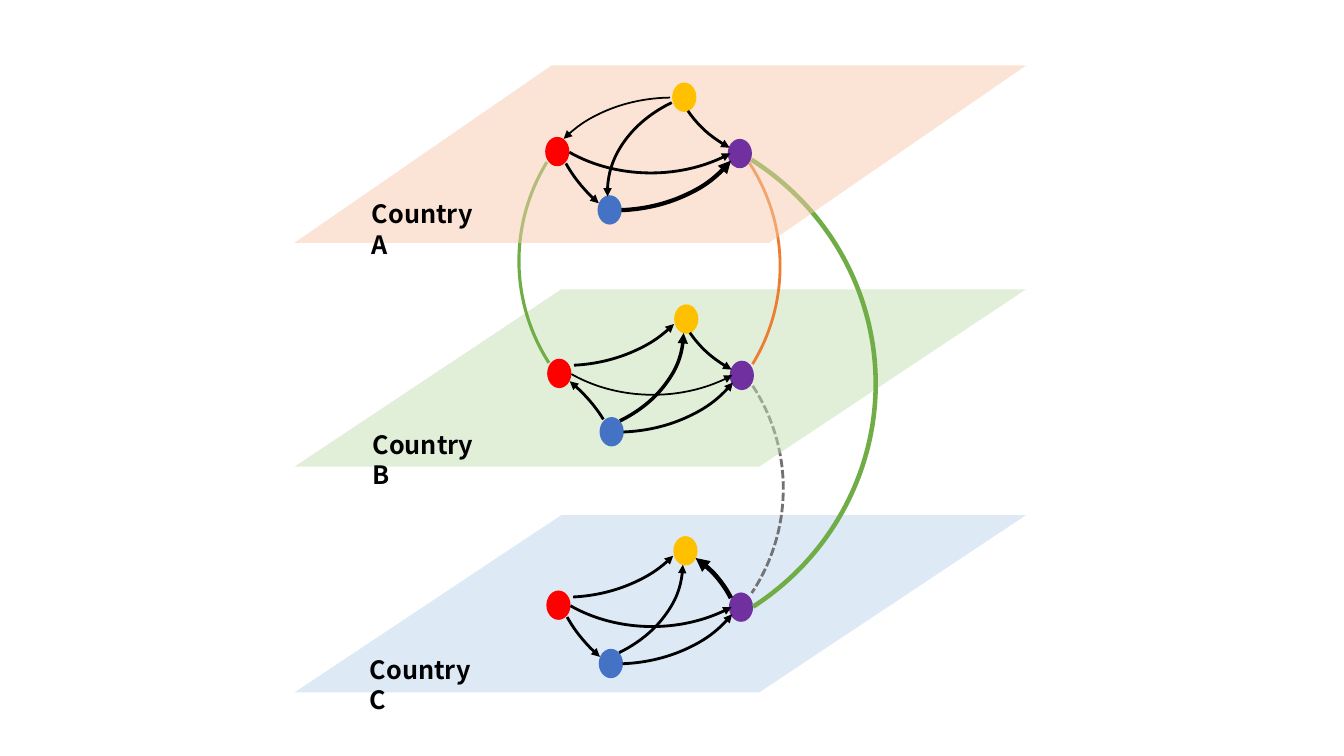
from dataclasses import dataclass

from pptx import Presentation
from pptx.dml.color import RGBColor
from pptx.enum.dml import MSO_LINE
from pptx.enum.shapes import MSO_SHAPE
from pptx.enum.text import MSO_AUTO_SIZE, PP_ALIGN
from pptx.oxml.ns import qn
from pptx.oxml.xmlchemy import OxmlElement
from pptx.shapes.autoshape import Shape
from pptx.slide import Slide
from pptx.util import Cm, Pt


@dataclass(frozen=True)
class Theme:
    font: str = "Noto Sans CJK SC"
    label_size: float = 18
    text: str = "000000"
    arrow: str = "000000"
    red: str = "FF0000"
    yellow: str = "FFC000"
    blue: str = "4472C4"
    purple: str = "7030A0"
    plane_a: str = "F8CBAD"
    plane_b: str = "C5E0B4"
    plane_c: str = "BDD7EE"
    plane_alpha: int = 50
    link_green: str = "70AD47"
    link_orange: str = "ED7D31"
    link_gray: str = "767171"


@dataclass(frozen=True)
class Curve:
    """Part of an ellipse: box in cm, angles in degrees clockwise from the right."""
    left: float
    top: float
    start: float
    end: float
    width: float = 6.91
    height: float = 5.33


@dataclass(frozen=True)
class Link:
    curve: Curve
    color: str
    weight: float
    dashed: bool = False


@dataclass(frozen=True)
class Country:
    name: str
    plane_top: float
    plane_color: str
    slant: float
    origin: tuple[float, float]  # corner of the red node
    label: tuple[float, float]
    arrows: tuple[tuple[Curve, float], ...]  # curve and line weight
    links: tuple[Link, ...] = ()


THEME = Theme()
PLANE_LEFT, PLANE_WIDTH, PLANE_HEIGHT = 7.42, 18.44, 4.47
NODE_WIDTH, NODE_HEIGHT = 0.61, 0.74
LABEL_WIDTH, LABEL_HEIGHT = 3.48, 1.02

# Node positions measured from the red node
NODES = (
    (3.2, -1.37, THEME.yellow),
    (1.32, 1.47, THEME.blue),
    (4.6, 0.05, THEME.purple),
    (0, 0, THEME.red),
)

# Arrow curves measured from the red node; the arrowhead is at the start angle
RED_TO_BLUE = Curve(0.18, -4.47, 154.34, 167.03, 11.89, 7.7)
RED_TO_PURPLE = Curve(-0.79, -4.42, 47.33, 133.79)
RED_TO_YELLOW = Curve(-3, -5.16, 30.6, 85.24)
BLUE_TO_PURPLE = Curve(-1.7, -3.48, 25.79, 86.44)
BLUE_TO_YELLOW = Curve(-3.47, -3.35, 0.62, 50.59)
BLUE_TO_RED = Curve(-10.06, -0.91, 333.16, 345.71, 11.89, 7.7)
YELLOW_TO_PURPLE = Curve(3.2, -4.56, 132.77, 157.95)
YELLOW_TO_RED = Curve(-0.25, -0.99, 210.67, 268.84)
YELLOW_TO_BLUE = Curve(1.57, -1.27, 178.16, 230.92)
PURPLE_TO_YELLOW = Curve(-2.03, -1.52, 319.98, 343.53)

# Links between countries, in slide coordinates
B_TO_C_PURPLE = Curve(9.91, 7.49, 327.98, 32.55, 9.83, 9.65)
A_TO_C_PURPLE = Curve(8.38, 2.95, 303.34, 56.24, 13.69, 13.44)
A_TO_B_PURPLE = Curve(9.83, 1.88, 327.98, 30.37, 9.83, 9.65)
A_TO_B_RED = Curve(13.08, 1.75, 148.3, 210.6, 9.83, 9.65)

# From the back layer to the front one
COUNTRIES = (
    Country(
        "Country C", 12.98, THEME.plane_c, 1.505, (13.77, 14.88), (9.07, 16.36),
        ((RED_TO_BLUE, 2), (PURPLE_TO_YELLOW, 3.25), (BLUE_TO_PURPLE, 2),
         (RED_TO_PURPLE, 2), (BLUE_TO_YELLOW, 2), (RED_TO_YELLOW, 2)),
        (Link(B_TO_C_PURPLE, THEME.link_gray, 2, dashed=True),),
    ),
    Country(
        "Country B", 7.29, THEME.plane_b, 1.505, (13.79, 9.04), (9.14, 10.69),
        ((RED_TO_YELLOW, 2), (BLUE_TO_RED, 2), (YELLOW_TO_PURPLE, 2),
         (BLUE_TO_PURPLE, 2), (RED_TO_PURPLE, 1.25), (BLUE_TO_YELLOW, 2.5)),
        (Link(A_TO_C_PURPLE, THEME.link_green, 3.25),
         Link(A_TO_B_PURPLE, THEME.link_orange, 2),
         Link(A_TO_B_RED, THEME.link_green, 2.25)),
    ),
    Country(
        "Country A", 1.65, THEME.plane_a, 1.45, (13.74, 3.45), (9.12, 4.88),
        ((YELLOW_TO_RED, 1.25), (RED_TO_BLUE, 2), (YELLOW_TO_PURPLE, 2),
         (BLUE_TO_PURPLE, 3), (RED_TO_PURPLE, 2), (YELLOW_TO_BLUE, 2)),
    ),
)


def add_filled(slide: Slide, kind: MSO_SHAPE, left: float, top: float,
               width: float, height: float, color: str) -> Shape:
    shape = slide.shapes.add_shape(kind, Cm(left), Cm(top), Cm(width), Cm(height))
    shape.shadow.inherit = False
    shape.fill.solid()
    shape.fill.fore_color.rgb = RGBColor.from_string(color)
    shape.line.fill.background()
    return shape


def add_plane(slide: Slide, country: Country) -> None:
    plane = add_filled(slide, MSO_SHAPE.PARALLELOGRAM, PLANE_LEFT, country.plane_top,
                       PLANE_WIDTH, PLANE_HEIGHT, country.plane_color)
    plane.adjustments[0] = country.slant
    alpha = OxmlElement("a:alpha")
    alpha.set("val", str(THEME.plane_alpha * 1000))
    plane.element.spPr.find(qn("a:solidFill"))[0].append(alpha)


def add_curve(slide: Slide, curve: Curve, color: str, weight: float,
              offset: tuple[float, float] = (0, 0)) -> Shape:
    arc = slide.shapes.add_shape(
        MSO_SHAPE.ARC, Cm(offset[0] + curve.left), Cm(offset[1] + curve.top),
        Cm(curve.width), Cm(curve.height))
    arc.shadow.inherit = False
    # One degree is 60000 units; adjustments count in 100000 units
    arc.adjustments[0] = curve.start * 0.6
    arc.adjustments[1] = curve.end * 0.6
    arc.fill.background()
    arc.line.color.rgb = RGBColor.from_string(color)
    arc.line.width = Pt(weight)
    return arc


def add_arrow(slide: Slide, curve: Curve, weight: float,
              origin: tuple[float, float]) -> None:
    arc = add_curve(slide, curve, THEME.arrow, weight, origin)
    head = OxmlElement("a:headEnd")
    head.set("type", "triangle")
    arc.element.spPr.find(qn("a:ln")).append(head)


def add_link(slide: Slide, link: Link) -> None:
    arc = add_curve(slide, link.curve, link.color, link.weight)
    if link.dashed:
        arc.line.dash_style = MSO_LINE.SQUARE_DOT


def add_label(slide: Slide, country: Country) -> None:
    left, top = country.label
    box = slide.shapes.add_textbox(Cm(left), Cm(top), Cm(LABEL_WIDTH), Cm(LABEL_HEIGHT))
    box.text_frame.word_wrap = True
    box.text_frame.auto_size = MSO_AUTO_SIZE.SHAPE_TO_FIT_TEXT
    paragraph = box.text_frame.paragraphs[0]
    paragraph.text = country.name
    paragraph.alignment = PP_ALIGN.LEFT
    paragraph.font.name = THEME.font
    paragraph.font.size = Pt(THEME.label_size)
    paragraph.font.bold = True
    paragraph.font.color.rgb = RGBColor.from_string(THEME.text)


def add_country(slide: Slide, country: Country) -> None:
    add_plane(slide, country)
    left, top = country.origin
    for across, down, color in NODES:
        add_filled(slide, MSO_SHAPE.OVAL, left + across, top + down,
                   NODE_WIDTH, NODE_HEIGHT, color)
    for curve, weight in country.arrows:
        add_arrow(slide, curve, weight, country.origin)
    for link in country.links:
        add_link(slide, link)
    add_label(slide, country)


def main() -> None:
    presentation = Presentation()
    presentation.slide_width, presentation.slide_height = Cm(33.87), Cm(19.05)
    slide = presentation.slides.add_slide(presentation.slide_layouts[6])
    for country in COUNTRIES:
        add_country(slide, country)
    presentation.save("out.pptx")


if __name__ == "__main__":
    main()
